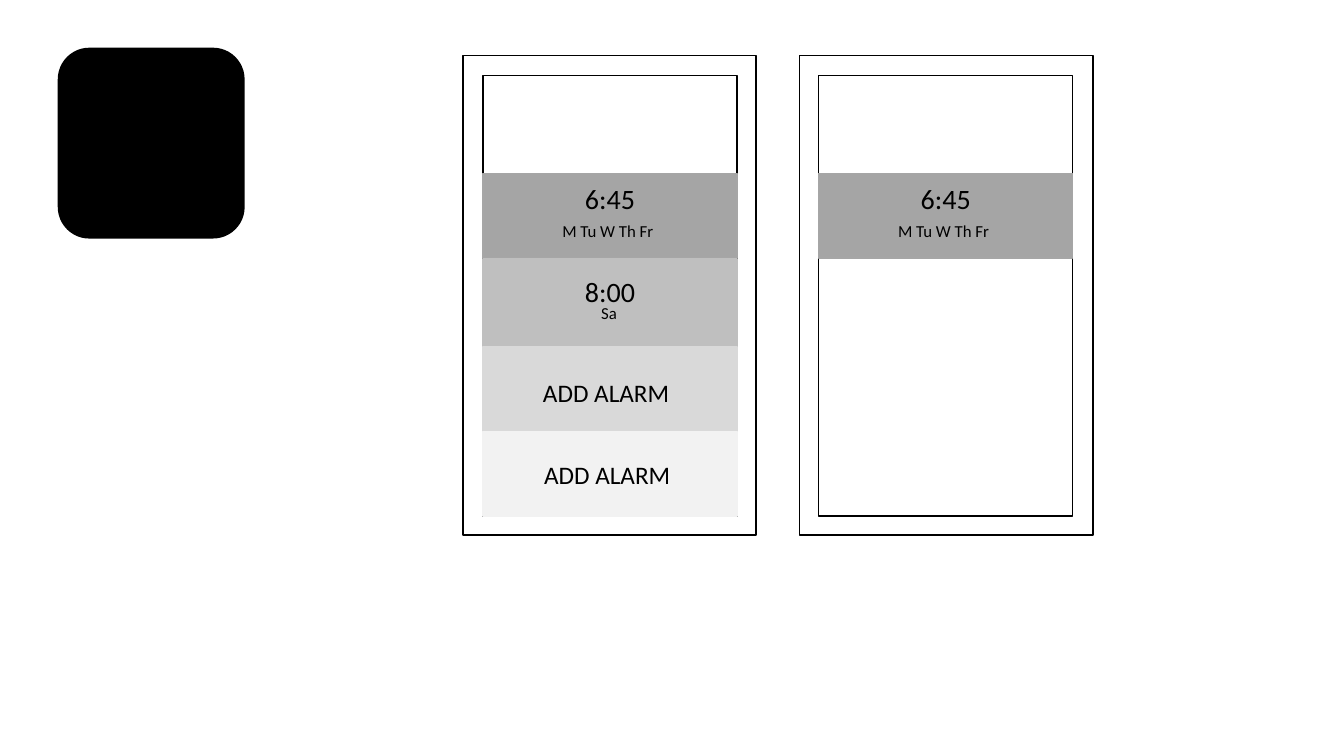
"""Build a slide with an app icon and two alarm clock phone screens."""
from pptx import Presentation
from pptx.dml.color import RGBColor
from pptx.enum.shapes import MSO_SHAPE
from pptx.enum.text import MSO_AUTO_SIZE, PP_ALIGN
from pptx.util import Inches, Pt

BLACK = RGBColor(0x00, 0x00, 0x00)
WHITE = RGBColor(0xFF, 0xFF, 0xFF)
ALARM_GRAY = RGBColor(0xA5, 0xA5, 0xA5)
ALARM_EDGE = RGBColor(0xA6, 0xA6, 0xA6)
SECOND_GRAY = RGBColor(0xBF, 0xBF, 0xBF)
THIRD_GRAY = RGBColor(0xD9, 0xD9, 0xD9)
FOURTH_GRAY = RGBColor(0xF2, 0xF2, 0xF2)
SCREEN_WIDTH = 2.52

deck = Presentation()
deck.slide_width, deck.slide_height = Inches(13.33), Inches(7.5)
page = deck.slides.add_slide(deck.slide_layouts[6])


def add_block(left, top, width, height, fill=WHITE, line=BLACK, kind=MSO_SHAPE.RECTANGLE):
    block = page.shapes.add_shape(kind, Inches(left), Inches(top), Inches(width), Inches(height))
    block.shadow.inherit = False
    block.fill.solid()
    block.fill.fore_color.rgb = fill
    block.line.color.rgb = line
    block.line.width = Pt(1)


def add_label(text, left, top, height, size, tail_size=None):
    box = page.shapes.add_textbox(Inches(left), Inches(top), Inches(SCREEN_WIDTH), Inches(height))
    box.text_frame.word_wrap = True
    box.text_frame.auto_size = MSO_AUTO_SIZE.SHAPE_TO_FIT_TEXT
    para = box.text_frame.paragraphs[0]
    para.alignment = PP_ALIGN.CENTER
    pieces = [(text, size)]
    if tail_size:
        pieces.append((" ", tail_size))
    for words, points in pieces:
        span = para.add_run()
        span.text = words
        span.font.name = "Calibri"
        span.font.size = Pt(points)
        span.font.color.rgb = BLACK


add_block(0.58, 0.48, 1.84, 1.88, fill=BLACK, kind=MSO_SHAPE.ROUNDED_RECTANGLE)

for phone_left, screen_left in [(4.59, 4.79), (7.93, 8.12)]:
    add_block(phone_left, 0.55, 2.91, 4.76)
    add_block(screen_left, 0.75, SCREEN_WIDTH, 4.37)
    add_block(screen_left, 1.72, SCREEN_WIDTH, 0.84, fill=ALARM_GRAY, line=ALARM_EDGE)
    add_label("6:45", screen_left, 1.75, 0.44, size=20)
    add_label("M Tu W Th Fr", screen_left + 0.01, 2.03, 0.44, size=12, tail_size=20)

list_left = 4.79
for top, height, gray in [(2.57, 0.87, SECOND_GRAY), (3.44, 0.87, THIRD_GRAY), (4.28, 0.84, FOURTH_GRAY)]:
    add_block(list_left, top, SCREEN_WIDTH, height, fill=gray, line=gray)

add_label("8:00", list_left, 2.67, 0.44, size=20)
add_label("Sa", list_left - 0.01, 2.95, 0.3, size=12)
add_label("ADD ALARM ", list_left - 0.01, 3.69, 0.4, size=18)
add_label("ADD ALARM ", list_left, 4.51, 0.4, size=18)

deck.save("out.pptx")
